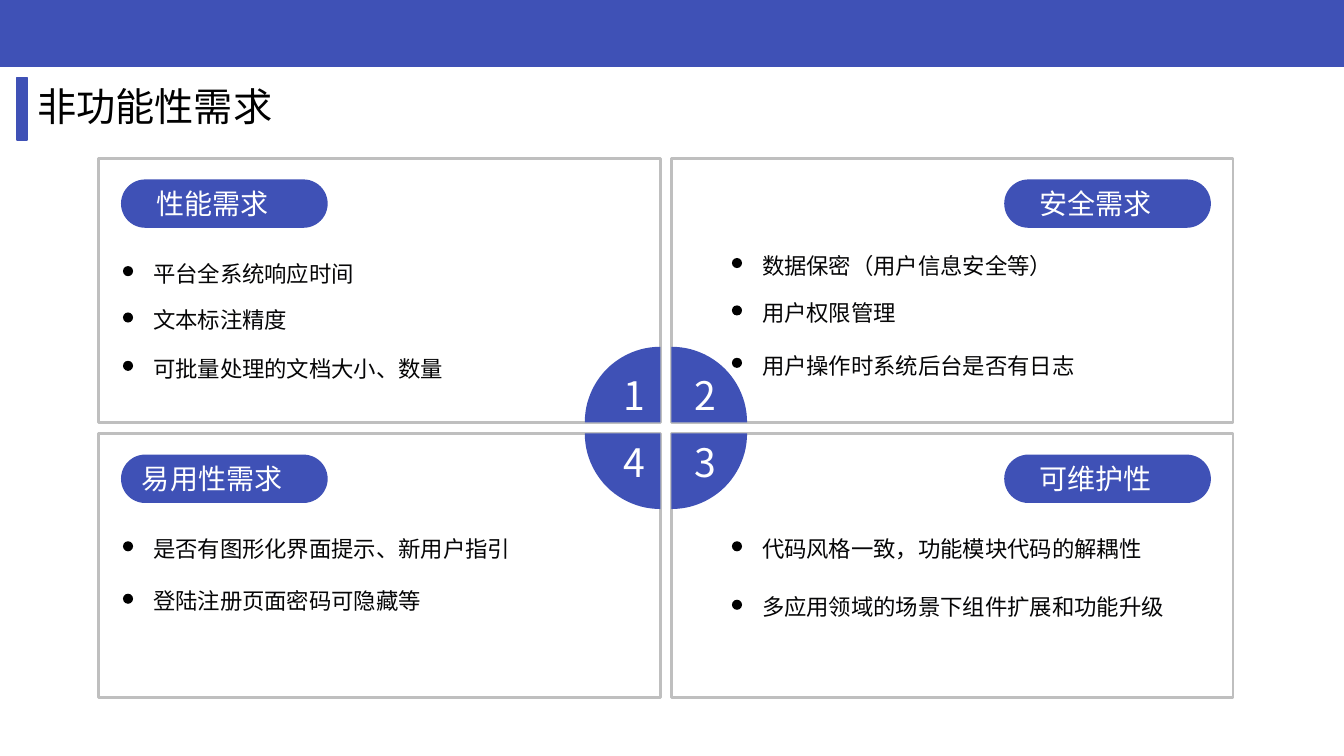
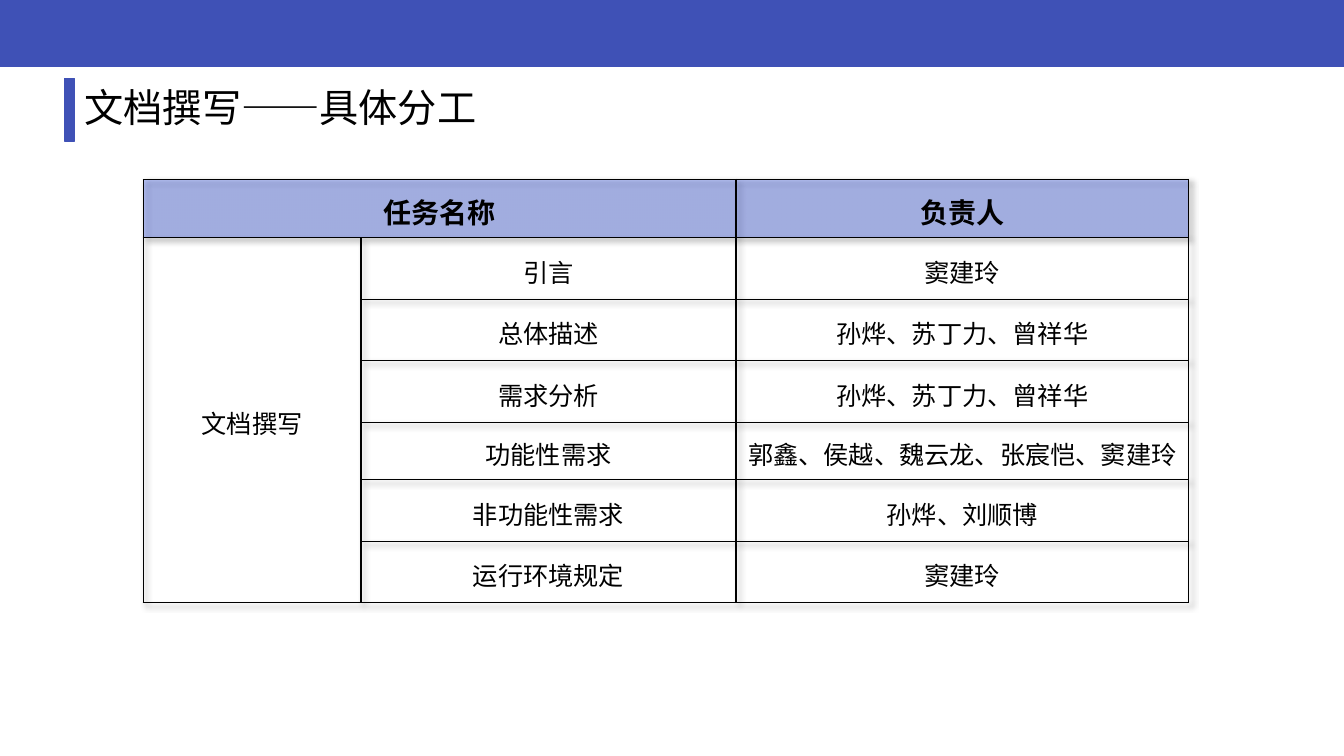
import math
from lxml import etree
from pptx import Presentation
from pptx.dml.color import RGBColor
from pptx.enum import shapes as s, text as t
from pptx.oxml import ns
from pptx.util import Inches, Pt

BLUE = RGBColor(0x3F, 0x51, 0xB6)
HEAD = RGBColor(0x3D, 0x5C, 0xE8)
GREY = RGBColor(0xBF, 0xBF, 0xBF)
BLACK = RGBColor(0, 0, 0)
INK = RGBColor(6, 6, 7)
WHITE = RGBColor(255, 255, 255)
FONT = "Noto Sans CJK JP"
RECT, PILL, DOT = (s.MSO_SHAPE.RECTANGLE, s.MSO_SHAPE.ROUNDED_RECTANGLE,
                   s.MSO_SHAPE.OVAL)
LEFT, MID = t.PP_ALIGN.LEFT, t.PP_ALIGN.CENTER
TOP, CORE = t.MSO_ANCHOR.TOP, t.MSO_ANCHOR.MIDDLE

NEEDS = [
    {"num": "1", "col": 0, "row": 0, "name": "性能需求", "items": [
        (2.45, "平台全系统响应时间"),
        (2.91, "文本标注精度"),
        (3.39, "可批量处理的文档大小、数量")]},
    {"num": "2", "col": 1, "row": 0, "name": "安全需求", "items": [
        (2.37, "数据保密（用户信息安全等）"),
        (2.84, "用户权限管理"),
        (3.36, "用户操作时系统后台是否有日志")]},
    {"num": "4", "col": 0, "row": 1, "name": "易用性需求", "items": [
        (5.18, "是否有图形化界面提示、新用户指引"),
        (5.7, "登陆注册页面密码可隐藏等")]},
    {"num": "3", "col": 1, "row": 1, "name": "可维护性", "items": [
        (5.18, "代码风格一致，功能模块代码的解耦性"),
        (5.76, "多应用领域的场景下组件扩展和功能升级")]},
]
FRAME_X, FRAME_Y, FRAME_W, FRAME_H = (0.98, 6.66), (1.57, 4.3), 5.57, 2.62
PILL_X, NUM_X, NUM_Y = (1.2, 9.96), (6.09, 6.79), (3.63, 4.3)
DOT_X, RADIUS = (1.22, 7.26), 0.75

HEADS = ["任务名称", "负责人"]
GROUP = "文档撰写"
TASKS = [
    ("引言", "窦建玲"),
    ("总体描述", "孙烨、苏丁力、曾祥华"),
    ("需求分析", "孙烨、苏丁力、曾祥华"),
    ("功能性需求", "郭鑫、侯越、魏云龙、张宸恺、窦建玲"),
    ("非功能性需求", "孙烨、刘顺博"),
    ("运行环境规定", "窦建玲"),
]
COLS = [2.16, 3.72, 4.49]
ROWS = [0.58, 0.61, 0.61, 0.61, 0.57, 0.61, 0.61]


def write(frame, words, size=16, color=INK, bold=False, align=LEFT,
          anchor=TOP, lead=1.0):
    frame.word_wrap = True
    frame.vertical_anchor = anchor
    para = frame.paragraphs[0]
    para.alignment = align
    para.line_spacing = lead
    run = para.add_run()
    run.text = words
    font = run.font
    font.name, font.size, font.bold = FONT, Pt(size), bold
    font.color.rgb = color
    east = etree.SubElement(run.font._element, ns.qn("a:ea"))
    east.set("typeface", FONT)


def paint(item, fill=None, line=None, width=1):
    item.shadow.inherit = False
    if fill is None:
        item.fill.background()
    else:
        item.fill.solid()
        item.fill.fore_color.rgb = fill
    if line is None:
        item.line.fill.background()
    else:
        item.line.color.rgb = line
        item.line.width = Pt(width)
    return item


def draw(slide, kind, x, y, w, h, **look):
    item = slide.shapes.add_shape(kind, Inches(x), Inches(y), Inches(w), Inches(h))
    return paint(item, **look)


def label(slide, words, x, y, w, h, **form):
    box = slide.shapes.add_textbox(Inches(x), Inches(y), Inches(w), Inches(h))
    write(box.text_frame, words, **form)


def start(deck, words, x, y):
    slide = deck.slides.add_slide(deck.slide_layouts[5])
    draw(slide, RECT, x, y, 0.1, 0.62, fill=BLUE, line=BLUE)
    title = slide.shapes.title
    title.left, title.top = Inches(x + 0.1), Inches(y)
    title.width, title.height = Inches(5.68), Inches(0.57)
    title.text_frame.auto_size = t.MSO_AUTO_SIZE.NONE
    write(title.text_frame, words, size=28, color=BLACK)
    return slide


def wedge(slide, col, row):
    x = FRAME_X[0] + FRAME_W if col == 0 else FRAME_X[1]
    y = FRAME_Y[0] + FRAME_H if row == 0 else FRAME_Y[1]
    turns = [math.pi / 2 * n / 24 for n in range(25)]
    arc = [(Inches(x + (2 * col - 1) * RADIUS * math.cos(a)),
            Inches(y + (2 * row - 1) * RADIUS * math.sin(a))) for a in turns]
    pen = slide.shapes.build_freeform(Inches(x), Inches(y))
    pen.add_line_segments(arc, close=True)
    paint(pen.convert_to_shape(), fill=BLUE)


def needs(deck):
    slide = start(deck, "非功能性需求", 0.17, 0.77)
    for need in NEEDS:
        col, row = need["col"], need["row"]
        draw(slide, RECT, FRAME_X[col], FRAME_Y[row], FRAME_W, FRAME_H,
             line=GREY, width=2)
    for need in NEEDS:
        col, row = need["col"], need["row"]
        wedge(slide, col, row)
        label(slide, need["num"], NUM_X[col], NUM_Y[row], 0.33, 0.57,
              size=28, color=WHITE, align=MID)
        pill = draw(slide, PILL, PILL_X[col], FRAME_Y[row] + 0.21, 2.05, 0.48,
                    fill=BLUE)
        pill.adjustments[0] = 0.5
        pill.text_frame.margin_right = Inches(0.34)
        write(pill.text_frame, need["name"], size=20, color=WHITE,
              align=MID, anchor=CORE)
        for y, words in need["items"]:
            draw(slide, DOT, DOT_X[col], y + 0.19, 0.1, 0.1, fill=BLACK)
            label(slide, words, DOT_X[col] + 0.2, y, 4.76, 0.45, lead=1.3)


def edge(cell):
    props = cell._tc.get_or_add_tcPr()
    for spot, side in enumerate(("lnL", "lnR", "lnT", "lnB")):
        line = etree.Element(ns.qn("a:" + side), w=str(Pt(1)))
        fill = etree.SubElement(line, ns.qn("a:solidFill"))
        etree.SubElement(fill, ns.qn("a:srgbClr"), val=str(BLACK))
        props.insert(spot, line)


def shade(grid):
    glow = etree.Element(ns.qn("a:effectLst"))
    cast = etree.SubElement(glow, ns.qn("a:outerShdw"), blurRad="50800",
                            dist="38100", dir="2700000", algn="tl",
                            rotWithShape="0")
    tone = etree.SubElement(cast, ns.qn("a:srgbClr"), val=str(BLACK))
    etree.SubElement(tone, ns.qn("a:alpha"), val="40000")
    grid._tbl.tblPr.insert(0, glow)


def tasks(deck):
    slide = start(deck, "文档撰写——具体分工", 0.64, 0.78)
    grid = slide.shapes.add_table(
        len(ROWS), len(COLS), Inches(1.42), Inches(1.78),
        Inches(sum(COLS)), Inches(sum(ROWS))).table
    grid.first_row = grid.horz_banding = False
    shade(grid)
    for col, wide in zip(grid.columns, COLS):
        col.width = Inches(wide)
    for row, high in zip(grid.rows, ROWS):
        row.height = Inches(high)
    grid.cell(0, 0).merge(grid.cell(0, 1))
    grid.cell(1, 0).merge(grid.cell(len(TASKS), 0))
    body = [(HEADS[0], "", HEADS[1])]
    body += [("" if n else GROUP, *task) for n, task in enumerate(TASKS)]
    for r, line in enumerate(body):
        for c, words in enumerate(line):
            cell = grid.cell(r, c)
            cell.margin_top = cell.margin_bottom = Inches(0.05)
            cell.vertical_anchor = CORE
            if r:
                cell.fill.background()
            else:
                cell.fill.solid()
                cell.fill.fore_color.rgb = HEAD
                tone = cell._tc.tcPr.find(".//" + ns.qn("a:srgbClr"))
                etree.SubElement(tone, ns.qn("a:alpha"), val="36000")
            edge(cell)
            if words:
                write(cell.text_frame, words, size=18 if r else 20,
                      color=BLACK, bold=not r, align=MID, anchor=CORE, lead=1.15)


def main():
    deck = Presentation()
    deck.slide_width, deck.slide_height = Inches(13.33), Inches(7.5)
    needs(deck)
    tasks(deck)
    band = draw(deck.slides[0], RECT, 0, -0.01, 13.33, 0.67, fill=BLUE, line=BLUE)
    deck.slide_layouts[5].shapes.element.insert(2, band.element)
    deck.save("out.pptx")


if __name__ == "__main__":
    main()
